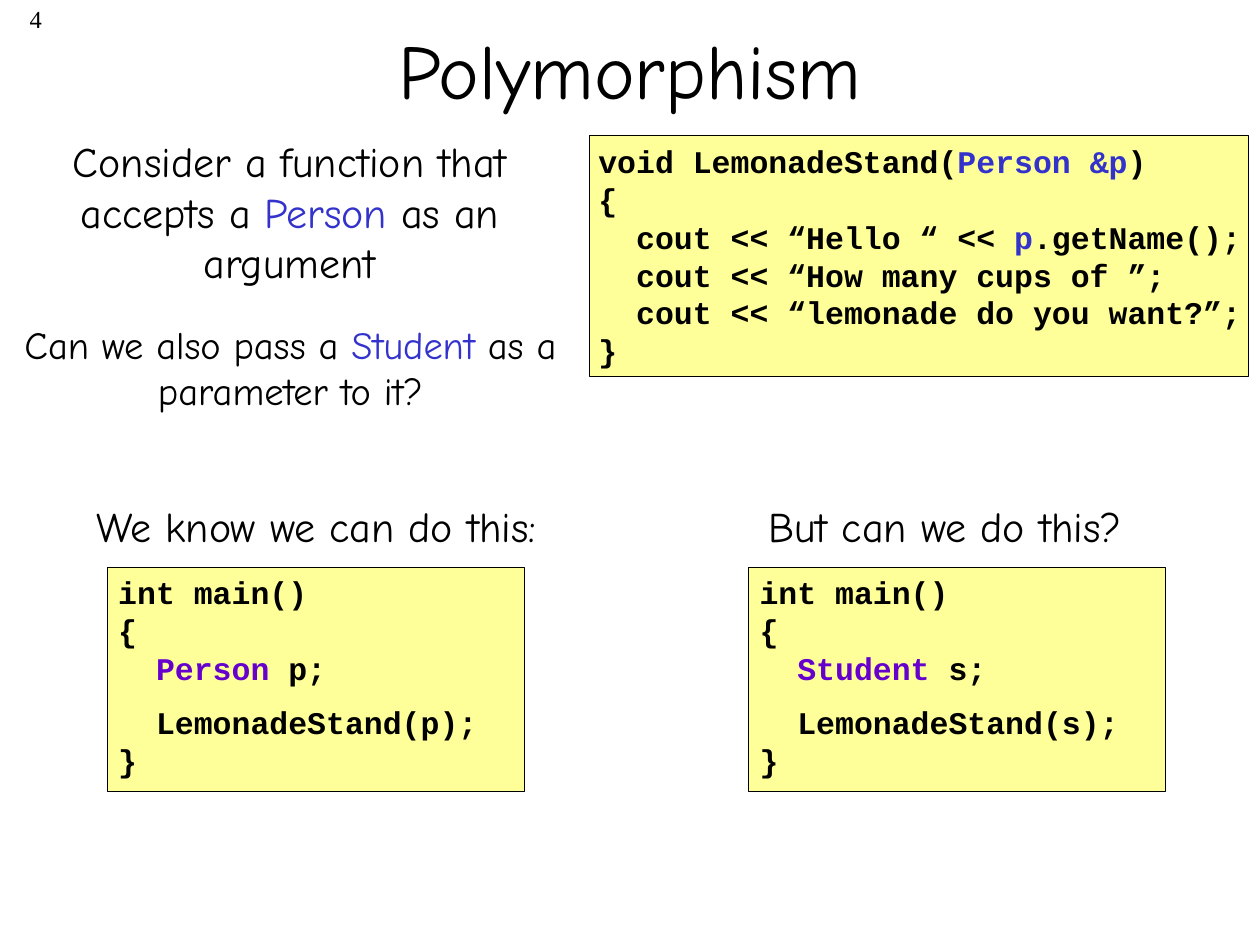
from pptx import Presentation
from pptx.dml.color import RGBColor
from pptx.enum import shapes, text
from pptx.util import Inches, Pt

COLORS = {"ink": "000000", "paper": "FFFF99", "blue": "3333CC", "purple": "6600CC"}
PROSE, CODE, NUMBER = "Comic Neue", "Courier New", "Times New Roman"
LEFT, CENTER, RIGHT = text.PP_ALIGN.LEFT, text.PP_ALIGN.CENTER, text.PP_ALIGN.RIGHT


def color(name):
    return RGBColor.from_string(COLORS[name])


class Deck:
    def __init__(self, width, height):
        self.prs = Presentation()
        self.prs.slide_width, self.prs.slide_height = Inches(width), Inches(height)
        self.slide = None

    def title_slide(self, title, box):
        self.slide = self.prs.slides.add_slide(self.prs.slide_layouts[5])
        heading = self.slide.shapes.title
        heading.left, heading.top, heading.width, heading.height = map(Inches, box)
        heading.text_frame.vertical_anchor = text.MSO_ANCHOR.MIDDLE
        self.fill_paragraph(heading.text_frame.paragraphs[0], [title], PROSE, 44, CENTER)

    def fill_paragraph(self, paragraph, pieces, font, size, align, bold=False):
        """Write pieces, each a plain string or a (string, color name) pair."""
        paragraph.alignment = align
        paragraph.font.name, paragraph.font.size = font, Pt(size)
        paragraph.font.bold = bold
        for piece in pieces:
            words, tint = (piece, "ink") if isinstance(piece, str) else piece
            run = paragraph.add_run()
            run.text = words
            run.font.color.rgb = color(tint)

    def text(self, box, lines, size, font=PROSE, align=CENTER, bold=False,
             wrap=True, parent=None):
        frame = (parent or self.slide).shapes.add_textbox(*map(Inches, box)).text_frame
        frame.word_wrap = wrap
        for i, pieces in enumerate(lines):
            paragraph = frame.add_paragraph() if i else frame.paragraphs[0]
            self.fill_paragraph(paragraph, pieces, font, size, align, bold)
        return frame

    def code(self, panel, box, lines):
        """Draw a code listing on a yellow panel; return its group and text frame."""
        group = self.slide.shapes.add_group_shape()
        paper = group.shapes.add_shape(shapes.MSO_SHAPE.RECTANGLE, *map(Inches, panel))
        paper.shadow.inherit = False
        paper.fill.solid()
        paper.fill.fore_color.rgb = color("paper")
        paper.line.color.rgb = color("ink")
        paper.line.width = Pt(0.25)
        return group, self.text(box, lines, 18, CODE, LEFT, bold=True, parent=group)

    def main_example(self, left, caption, caption_box, kind, variable):
        lines = [
            ["int main()"],
            ["{"],
            ["  ", (kind, "purple"), f" {variable};"],
            [f"  LemonadeStand({variable});"],
            ["}"],
        ]
        group, listing = self.code((left, 4.5, 3.31, 1.78),
                                   (left - 0.01, 4.5, 3.26, 1.74), lines)
        listing.paragraphs[3].space_before = Pt(9.5)
        self.text(caption_box, [[caption]], 24, align=LEFT, wrap=False, parent=group)


def main():
    deck = Deck(10, 7.5)
    deck.title_slide("Polymorphism", (0.75, -0.08, 8.5, 1.25))
    deck.text((-1.65, -0.02, 2.08, 0.5), [["4"]], 14, NUMBER, RIGHT)
    deck.text((0, 1.03, 4.6, 1.3), [
        ["Consider a function that accepts a ", ("Person", "blue"), " as an argument"],
    ], 24)
    deck.code((4.68, 1.07, 5.23, 1.92), (4.65, 1.08, 6.35, 2.37), [
        ["void LemonadeStand(", ("Person &p", "blue"), ")"],
        ["{"],
        ["  cout << “Hello “ << ", ("p", "blue"), ".getName();"],
        ["  cout << “How many cups of ”;"],
        ["  cout << “lemonade do you want?”;"],
        ["}"],
    ])
    deck.text((0, 2.5, 4.61, 0.83), [
        ["Can we also pass a ", ("Student", "blue"), " as a parameter to it?"],
    ], 22)
    deck.main_example(0.85, "We know we can do this:", (0.67, 3.92, 3.99, 0.5),
                      "Person", "p")
    deck.main_example(5.94, "But can we do this?", (6, 3.92, 3.22, 0.5),
                      "Student", "s")
    deck.prs.save("out.pptx")


if __name__ == "__main__":
    main()
